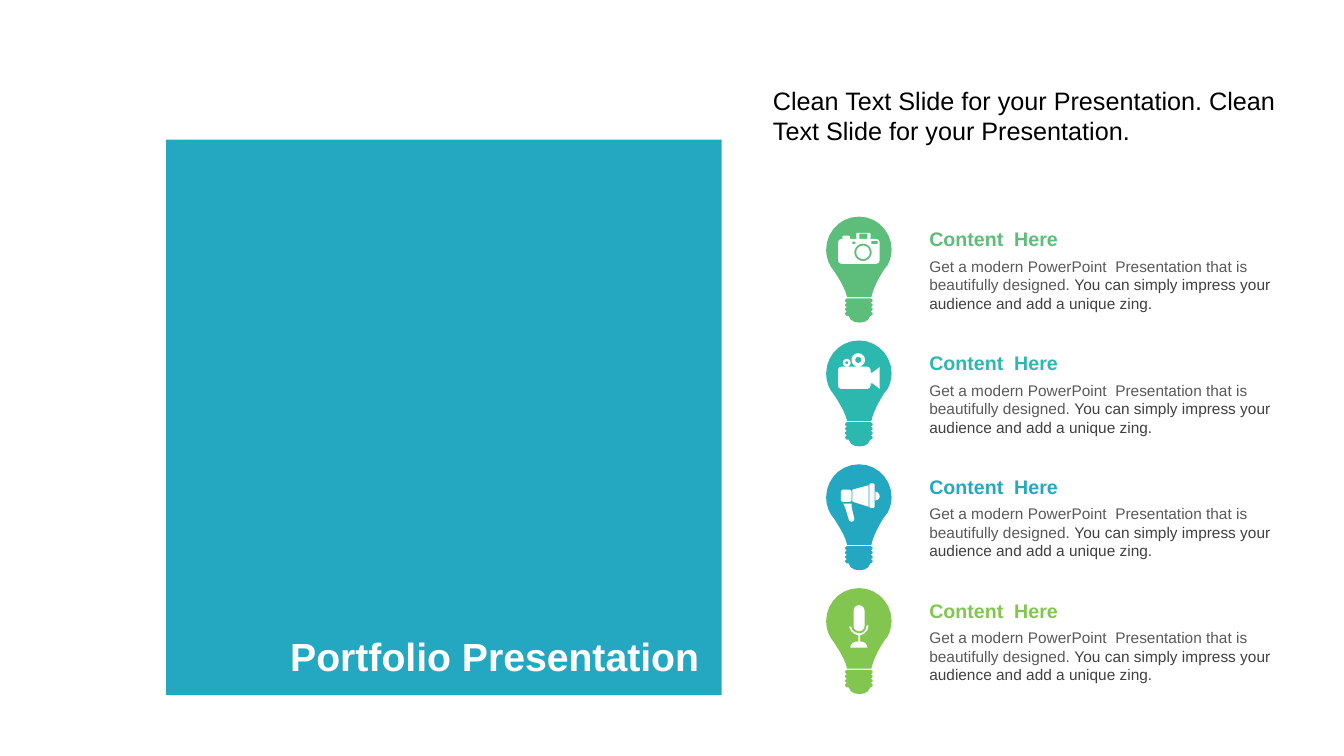
import math

import pptx
import pptx.dml.color
import pptx.enum.shapes
import pptx.enum.text
import pptx.util

Cm = pptx.util.Cm
RGBColor = pptx.dml.color.RGBColor
ANCHOR = pptx.enum.text.MSO_ANCHOR

WHITE = RGBColor(0xFF, 0xFF, 0xFF)
BLACK = RGBColor(0x00, 0x00, 0x00)
GRAY = RGBColor(0x59, 0x59, 0x59)
DARK_GRAY = RGBColor(0x40, 0x40, 0x40)
GREEN = RGBColor(0x5C, 0xBE, 0x7A)
TEAL = RGBColor(0x2C, 0xB8, 0xAE)
BLUE = RGBColor(0x24, 0xA8, 0xC2)
LIME = RGBColor(0x82, 0xC6, 0x50)

# Outlines in hundredths of a centimetre from the top left of a bulb.
# M x y: start, L x y: line, C: cubic curve,
# O cx cy r: circle, R x y w h r: rounded rectangle
BULB = """M 83 0 C 128 0 165 37 165 83 C 165 97 162 109 155 122
    L 147 132 C 132 155 119 180 114 203 L 53 203
    C 48 180 33 157 20 137 C 8 124 0 104 0 84 C 0 38 36 0 83 0
    R 48 206 69 11 4 R 48 217 69 11 4 R 48 228 69 11 4 R 48 239 69 11 4
    M 57 250 L 111 250 C 108 262 98 267 84 267 C 70 267 60 262 57 250"""
CAMERA = """R 30 56 105 63 9 R 41 48 19 8 2 R 76 41 36 15 2 R 84 43 20 13 0
    R 114 61 16 8 0 R 66 63 8 6 0 O 93 90 22 O 93 90 17"""
VIDEO = """R 30 66 82 56 8 O 81 49 17 O 81 49 8 O 52 56 10 O 52 56 4
    M 112 81 L 116 81 L 119 79 L 135 67 L 135 122 L 117 108 L 112 108"""
MEGAPHONE = """R 37 64 27 31 4 R 109 48 13 62 3 M 107 53 L 107 107 L 66 94 L 66 64
    M 64 99 L 64 107 L 71 137 L 69 143 L 64 145 L 58 142 L 48 109 L 43 99
    M 124 69 C 130 69 135 74 135 81 C 135 87 130 91 124 91"""
MICROPHONE = """R 69 43 28 66 14 M 107 94 C 107 107 97 117 86 119 L 86 135
    L 91 135 C 99 137 104 142 104 150 L 61 150 C 61 142 66 137 74 135
    L 81 135 L 81 119 C 69 117 61 109 58 97 L 63 97
    C 63 107 74 114 84 114 C 94 114 102 107 102 94"""

ARG_COUNT = {"M": 2, "L": 2, "C": 6, "O": 3, "R": 5}


def arc(cx, cy, r, start, sweep=360):
    if not r:
        return [(cx, cy)]
    steps = max(7, min(20, r)) * sweep // 360
    angles = [math.radians(start + sweep * i / steps) for i in range(steps + 1)]
    return [(cx + r * math.cos(a), cy + r * math.sin(a)) for a in angles]


def curve(p0, p1, p2, p3):
    steps = max(3, min(7, round(math.dist(p0, p3) / 14)))
    points = []
    for i in range(1, steps + 1):
        t = i / steps
        u = 1 - t
        points.append(tuple(u**3 * a + 3 * u * u * t * b + 3 * u * t * t * c + t**3 * d
                            for a, b, c, d in zip(p0, p1, p2, p3)))
    return points


def contours(outline):
    """Turn outline commands into lists of points."""
    tokens = iter(outline.split())
    result = []
    for cmd in tokens:
        v = [int(next(tokens)) for _ in range(ARG_COUNT[cmd])]
        if cmd == "M":
            result.append([tuple(v)])
        elif cmd == "L":
            result[-1].append(tuple(v))
        elif cmd == "C":
            result[-1] += curve(result[-1][-1], v[:2], v[2:4], v[4:])
        elif cmd == "O":
            result.append(arc(*v, 0))
        else:
            x, y, w, h, r = v
            corners = [(x + r, y + r, 180), (x + w - r, y + r, 270),
                       (x + w - r, y + h - r, 0), (x + r, y + h - r, 90)]
            result.append([pt for cx, cy, start in corners
                           for pt in arc(cx, cy, r, start, 90)])
    return result


def add_run(p, text, size=11, color=BLACK, bold=False, font="Arial"):
    r = p.add_run()
    r.text = text
    r.font.name = font
    r.font.size = pptx.util.Pt(size)
    r.font.bold = bold
    r.font.color.rgb = color


class Deck:
    def __init__(self):
        self.prs = pptx.Presentation()
        self.prs.slide_width, self.prs.slide_height = Cm(33.87), Cm(19.05)
        self.s = self.prs.slides.add_slide(self.prs.slide_layouts[5])

    def paint(self, sp, color):
        sp.shadow.inherit = False
        sp.fill.solid()
        sp.fill.fore_color.rgb = color
        sp.line.fill.background()

    def panel(self, x, y, w, h, color):
        """Add a filled rectangle behind the title."""
        sp = self.s.shapes.add_shape(pptx.enum.shapes.MSO_SHAPE.RECTANGLE,
                                     Cm(x), Cm(y), Cm(w), Cm(h))
        self.paint(sp, color)
        self.s.shapes.title.element.addprevious(sp.element)

    def outline(self, x, y, outline, color):
        unit = Cm(0.01)
        scaled = [[(px * unit, py * unit) for px, py in c] for c in contours(outline)]
        builder = self.s.shapes.build_freeform(*scaled[0][0])
        for i, points in enumerate(scaled):
            if i:
                builder.move_to(*points[0])
            builder.add_line_segments(points[1:], close=True)
        self.paint(builder.convert_to_shape(Cm(x), Cm(y)), color)

    def title(self, x, y, w, h, text, **fmt):
        sp = self.s.shapes.title
        sp.left, sp.top, sp.width, sp.height = Cm(x), Cm(y), Cm(w), Cm(h)
        tf = sp.text_frame
        tf.auto_size = pptx.enum.text.MSO_AUTO_SIZE.NONE
        tf.vertical_anchor = ANCHOR.MIDDLE
        p = tf.paragraphs[0]
        p.alignment = pptx.enum.text.PP_ALIGN.LEFT
        p.line_spacing = 1.1
        add_run(p, text, **fmt)

    def text(self, x, y, w, h, *runs, anchor=ANCHOR.TOP, inset=0.25):
        """Add a text box; each run is a (text, format) pair."""
        tf = self.s.shapes.add_textbox(Cm(x), Cm(y), Cm(w), Cm(h)).text_frame
        tf.word_wrap = True
        tf.vertical_anchor = anchor
        tf.margin_left = Cm(inset)
        for text, fmt in runs:
            add_run(tf.paragraphs[0], text, **fmt)


def main():
    deck = Deck()
    deck.panel(4.19, 3.52, 14, 14, BLUE)
    deck.title(7.06, 15.67, 11, 1.6, "Portfolio Presentation",
               size=28, color=WHITE, bold=True)
    deck.text(19.23, 2.01, 13.74, 1.8,
              ("Clean Text Slide for your Presentation. "
               "Clean Text Slide for your Presentation.", {"size": 18}),
              anchor=ANCHOR.MIDDLE)

    items = [(GREEN, CAMERA), (TEAL, VIDEO), (BLUE, MEGAPHONE), (LIME, MICROPHONE)]
    for i, (color, icon) in enumerate(items):
        top = 5.46 + 3.12 * i
        deck.outline(20.82, top, BULB, color)
        deck.outline(20.82, top, icon, WHITE)
        deck.text(23.42, top + 0.13, 9, 0.86,
                  ("Content  Here", {"size": 14, "color": color, "bold": True}),
                  anchor=ANCHOR.MIDDLE, inset=0)
        deck.text(23.42, top + 0.89, 9, 1.68,
                  ("Get a modern PowerPoint  Presentation that is beautifully designed. ",
                   {"color": GRAY}),
                  ("You can simply impress your audience and add a unique zing.",
                   {"color": DARK_GRAY}), inset=0)
    deck.prs.save("out.pptx")


if __name__ == "__main__":
    main()
